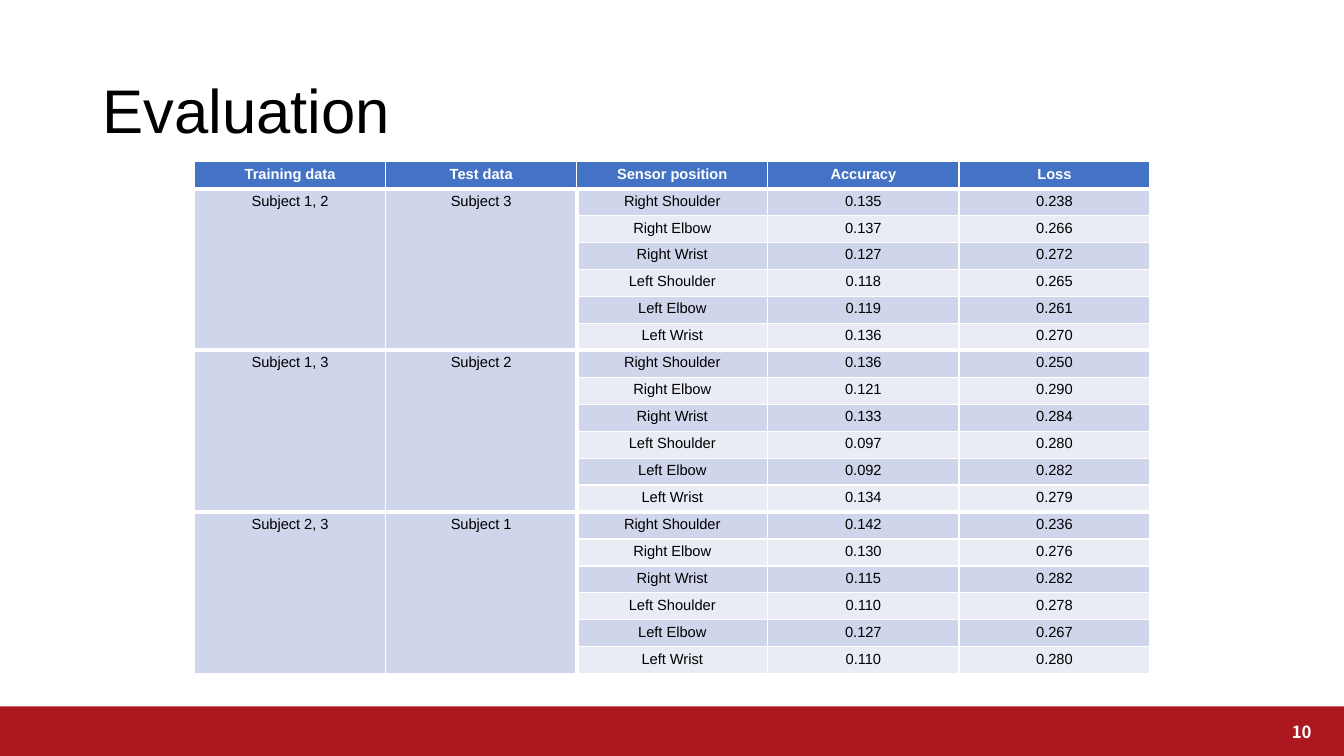
from lxml.etree import SubElement
from pptx import Presentation
from pptx.dml.color import RGBColor
from pptx.enum.shapes import MSO_SHAPE
from pptx.enum.text import MSO_ANCHOR, PP_ALIGN
from pptx.oxml.ns import qn
from pptx.util import Pt

COLORS = {
    "white": "FFFFFF",
    "black": "000000",
    "footer": "AC181E",
    "header": "4472C4",
    "dark_band": "CFD5EA",
    "light_band": "E9EBF5",
}
HEADERS = ["Training data", "Test data", "Sensor position", "Accuracy", "Loss"]
POSITIONS = ["Right Shoulder", "Right Elbow", "Right Wrist",
             "Left Shoulder", "Left Elbow", "Left Wrist"]
GROUPS = [
    ("Subject 1, 2", "Subject 3",
     ["0.135", "0.137", "0.127", "0.118", "0.119", "0.136"],
     ["0.238", "0.266", "0.272", "0.265", "0.261", "0.270"]),
    ("Subject 1, 3", "Subject 2",
     ["0.136", "0.121", "0.133", "0.097", "0.092", "0.134"],
     ["0.250", "0.290", "0.284", "0.280", "0.282", "0.279"]),
    ("Subject 2, 3", "Subject 1",
     ["0.142", "0.130", "0.115", "0.110", "0.127", "0.110"],
     ["0.236", "0.276", "0.282", "0.278", "0.267", "0.280"]),
]
GROUP_SIZE = len(POSITIONS)
ROW_HEIGHT = Pt(19.25)
COLUMN_WIDTH = Pt(136.5)


def write_text(text_frame, text, size, color, alignment, font="Arial", bold=False):
    text_frame.text = text
    text_frame.vertical_anchor = MSO_ANCHOR.MIDDLE
    paragraph = text_frame.paragraphs[0]
    paragraph.alignment = alignment
    for run in paragraph.runs:
        run.font.name = font
        run.font.size = Pt(size)
        run.font.bold = bold
        run.font.color.rgb = RGBColor.from_string(COLORS[color])


def style_cell(cell, fill, thick_sides):
    """Fill a cell and give it white borders, 3 pt on thick_sides and 1 pt elsewhere."""
    properties = cell._tc.get_or_add_tcPr()
    for side in "LRTB":
        width = Pt(3) if side in thick_sides else Pt(1)
        line = SubElement(properties, qn(f"a:ln{side}"), w=str(width))
        solid_fill = SubElement(line, qn("a:solidFill"))
        SubElement(solid_fill, qn("a:srgbClr"), val=COLORS["white"])
    cell.fill.solid()
    cell.fill.fore_color.rgb = RGBColor.from_string(COLORS[fill])


presentation = Presentation()
presentation.slide_width = Pt(960)
presentation.slide_height = Pt(540)
slide = presentation.slides.add_slide(presentation.slide_layouts[6])

footer = slide.shapes.add_shape(MSO_SHAPE.RECTANGLE, 0, Pt(504.5), Pt(960), Pt(35.5))
footer.shadow.inherit = False
footer.fill.solid()
footer.fill.fore_color.rgb = RGBColor.from_string(COLORS["footer"])
footer.line.fill.background()

title = slide.shapes.add_textbox(Pt(66), Pt(28.75), Pt(828), Pt(104.5))
title.text_frame.word_wrap = True
write_text(title.text_frame, "Evaluation", 44, "black", PP_ALIGN.LEFT)
title.text_frame.paragraphs[0].line_spacing = 0.9

row_count = 1 + GROUP_SIZE * len(GROUPS)
table = slide.shapes.add_table(
    row_count, len(HEADERS), Pt(139), Pt(115.5),
    COLUMN_WIDTH * len(HEADERS), ROW_HEIGHT * row_count).table
for column in table.columns:
    column.width = COLUMN_WIDTH
for row in table.rows:
    row.height = ROW_HEIGHT
for cell in table.iter_cells():
    cell.margin_top = cell.margin_bottom = Pt(3)

for column_index, header in enumerate(HEADERS):
    cell = table.cell(0, column_index)
    write_text(cell.text_frame, header, 10.5, "white", PP_ALIGN.CENTER, bold=True)
    style_cell(cell, "header", "B")

for group_index, (training, test, accuracies, losses) in enumerate(GROUPS):
    first_row = 1 + group_index * GROUP_SIZE
    top = "T" if group_index > 0 else ""
    bottom = "B" if group_index < len(GROUPS) - 1 else ""

    for column_index, subject in enumerate([training, test]):
        cell = table.cell(first_row, column_index)
        cell.merge(table.cell(first_row + GROUP_SIZE - 1, column_index))
        write_text(cell.text_frame, subject, 10.5, "black", PP_ALIGN.CENTER)
        right = "R" if column_index == 1 else ""
        for offset in range(GROUP_SIZE):
            style_cell(table.cell(first_row + offset, column_index),
                       "dark_band", top + bottom + right)

    for offset, values in enumerate(zip(POSITIONS, accuracies, losses)):
        fill = "light_band" if offset % 2 else "dark_band"
        thick_sides = top if offset == 0 else bottom if offset == GROUP_SIZE - 1 else ""
        for column_index, value in enumerate(values, start=2):
            cell = table.cell(first_row + offset, column_index)
            write_text(cell.text_frame, value, 10.5, "black", PP_ALIGN.CENTER)
            left = "L" if column_index == 2 else ""
            style_cell(cell, fill, thick_sides + left)

page_number = slide.shapes.add_textbox(Pt(870.5), Pt(505.5), Pt(73.5), Pt(35))
page_number.text_frame.word_wrap = True
write_text(page_number.text_frame, "10", 12, "white", PP_ALIGN.RIGHT,
           font="Noto Sans CJK JP", bold=True)

presentation.save("out.pptx")
